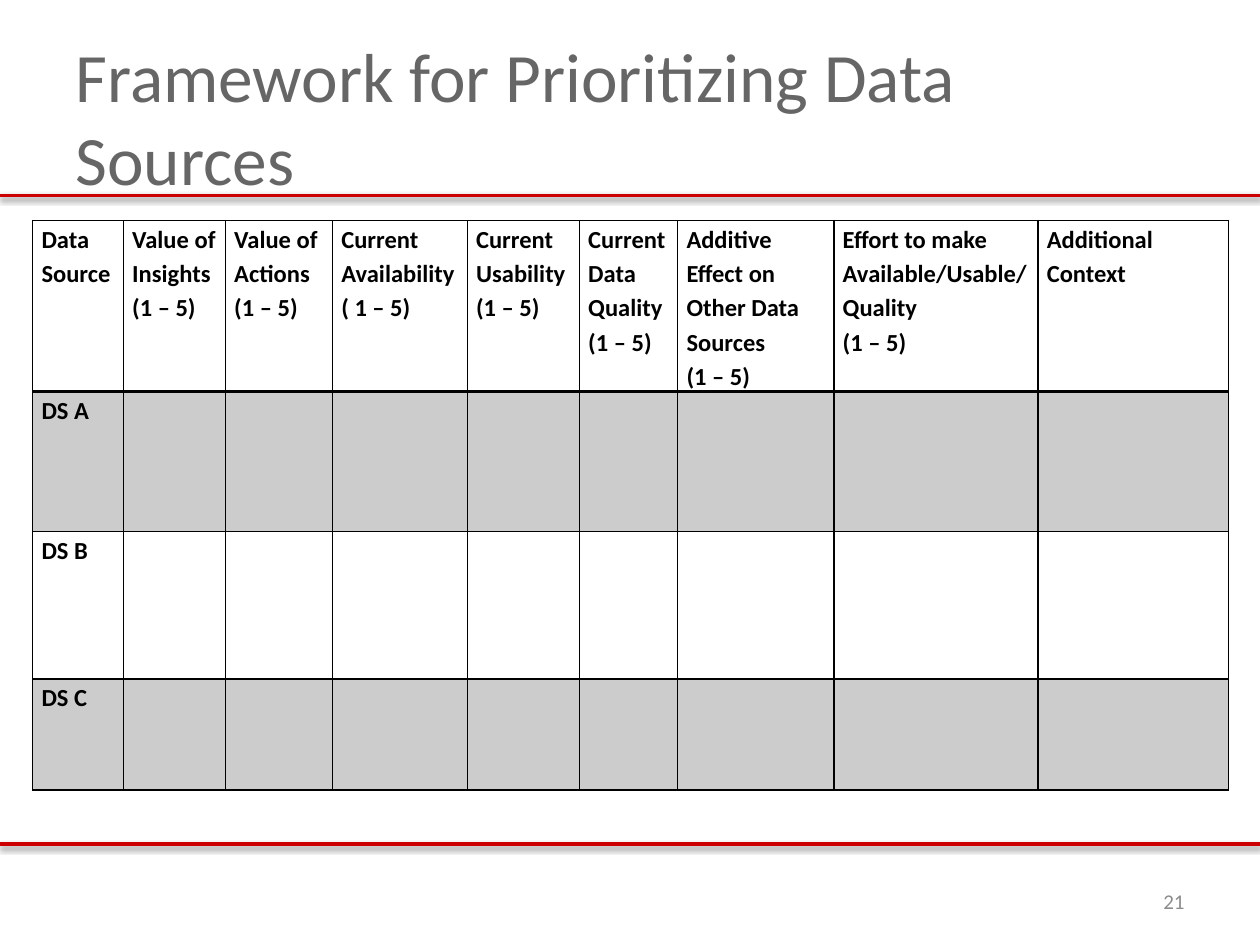
from dataclasses import dataclass

from lxml import etree
from pptx import Presentation, util as u
from pptx.dml.color import RGBColor
from pptx.enum import shapes, text
from pptx.oxml import ns, parse_xml

GRID_COLUMNS, GRID_ROWS = 100, 75


@dataclass(frozen=True)
class Theme:
    font: str = "Calibri"
    title_color: str = "666666"
    number_color: str = "8C8C8C"
    ink: str = "000000"
    rule: str = "CC0000"
    title_size: float = 39.6
    table_size: float = 14
    number_size: float = 12
    rule_width: float = 2
    border: float = 1
    header_border: float = 2
    band_opacity: int = 20


def write_text(frame, lines, *, font, size, color, bold=False, spacing=None,
               align=text.PP_ALIGN.LEFT):
    for index, line in enumerate(lines):
        paragraph = frame.paragraphs[0] if index == 0 else frame.add_paragraph()
        paragraph.alignment = align
        paragraph.line_spacing = spacing
        run = paragraph.add_run()
        run.text = line
        run.font.name = font
        run.font.size = u.Pt(size)
        run.font.bold = bold
        run.font.color.rgb = RGBColor.from_string(color)


class SlideBuilder:
    def __init__(self, presentation, theme):
        self.theme = theme
        self.column = presentation.slide_width / GRID_COLUMNS
        self.row = presentation.slide_height / GRID_ROWS
        self.slide = presentation.slides.add_slide(presentation.slide_layouts[5])

    def place(self, left, top, width, height):
        return (round(left * self.column), round(top * self.row),
                round(width * self.column), round(height * self.row))

    def rule(self, row):
        left, top, width, _ = self.place(0, row, GRID_COLUMNS, 0)
        line = self.slide.shapes.add_connector(
            shapes.MSO_CONNECTOR.STRAIGHT, left, top, left + width, top)
        line.line.color.rgb = RGBColor.from_string(self.theme.rule)
        line.line.width = u.Pt(self.theme.rule_width)
        line._element.spPr.append(parse_xml(
            f'<a:effectLst {ns.nsdecls("a")}>'
            f'<a:outerShdw blurRad="{u.Pt(3.1)}" dist="{u.Pt(1.6)}" dir="5400000" rotWithShape="0">'
            f'<a:srgbClr val="{self.theme.ink}"><a:alpha val="38000"/></a:srgbClr>'
            '</a:outerShdw></a:effectLst>'))

    def title(self, wording, *box):
        title = self.slide.shapes.title
        title.left, title.top, title.width, title.height = self.place(*box)
        frame = title.text_frame
        frame.auto_size = text.MSO_AUTO_SIZE.NONE
        frame.word_wrap = True
        frame.vertical_anchor = text.MSO_ANCHOR.MIDDLE
        write_text(frame, [wording], font=self.theme.font,
                   size=self.theme.title_size, color=self.theme.title_color)

    def page_number(self, number, *box):
        frame = self.slide.shapes.add_textbox(*self.place(*box)).text_frame
        frame.word_wrap = True
        frame.vertical_anchor = text.MSO_ANCHOR.MIDDLE
        write_text(frame, [str(number)], font=self.theme.font,
                   size=self.theme.number_size, color=self.theme.number_color,
                   align=text.PP_ALIGN.RIGHT)

    def table(self, left, top, widths, heights, rows):
        box = self.place(left, top, sum(widths), sum(heights))
        table = self.slide.shapes.add_table(len(heights), len(widths), *box).table
        table.first_row = table.horz_banding = False
        for column, width in zip(table.columns, widths):
            column.width = round(width * self.column)
        for row, height in zip(table.rows, heights):
            row.height = round(height * self.row)
        for row_index, row in enumerate(table.rows):
            for column_index, cell in enumerate(row.cells):
                lines = rows[row_index].get(column_index, [])
                self.cell(cell, lines, row_index)

    def cell(self, cell, lines, row_index):
        theme = self.theme
        cell.margin_left = cell.margin_right = u.Inches(0.07)
        cell.margin_top = cell.margin_bottom = 0
        write_text(cell.text_frame, lines, font=theme.font, size=theme.table_size,
                   color=theme.ink, bold=True, spacing=1.15)
        properties = cell._tc.get_or_add_tcPr()
        if row_index % 2:
            cell.fill.solid()
            cell.fill.fore_color.rgb = RGBColor.from_string(theme.ink)
            color = properties.find(".//" + ns.qn("a:srgbClr"))
            etree.SubElement(color, ns.qn("a:alpha"), val=str(theme.band_opacity * 1000))
        else:
            cell.fill.background()
        heavy_side = {0: "B", 1: "T"}.get(row_index)
        for position, side in enumerate("LRTB"):
            width = theme.header_border if side == heavy_side else theme.border
            properties.insert(position, parse_xml(
                f'<a:ln{side} {ns.nsdecls("a")} w="{u.Pt(width)}">'
                f'<a:solidFill><a:srgbClr val="{theme.ink}"/></a:solidFill></a:ln{side}>'))


def main():
    presentation = Presentation()
    presentation.slide_width = u.Inches(10)
    presentation.slide_height = u.Inches(7.5)
    builder = SlideBuilder(presentation, Theme())

    for row in (67, 15.5):
        builder.rule(row)
    builder.title("Framework for Prioritizing Data Sources", 5, 3, 90, 12.5)
    builder.page_number(21, 71.7, 69.5, 23.3, 4)

    scale = "(1 – 5)"
    headings = [
        ["Data Source"],
        ["Value of Insights", scale],
        ["Value of Actions", scale],
        ["Current", "Availability ( 1 – 5)"],
        ["Current", "Usability", scale],
        ["Current Data Quality", scale],
        ["Additive Effect on Other Data Sources", scale],
        ["Effort to make Available/Usable/Quality", scale],
        ["Additional Context"],
    ]
    sources = [{0: [f"DS {letter}"]} for letter in "ABC"]
    builder.table(
        2.6, 17.5,
        widths=[7.2, 8.1, 8.5, 10.7, 8.9, 7.8, 12.4, 16.2, 15.1],
        heights=[13.6, 11.1, 11.7, 8.8],
        rows=[dict(enumerate(headings)), *sources])
    presentation.save("out.pptx")


if __name__ == "__main__":
    main()
